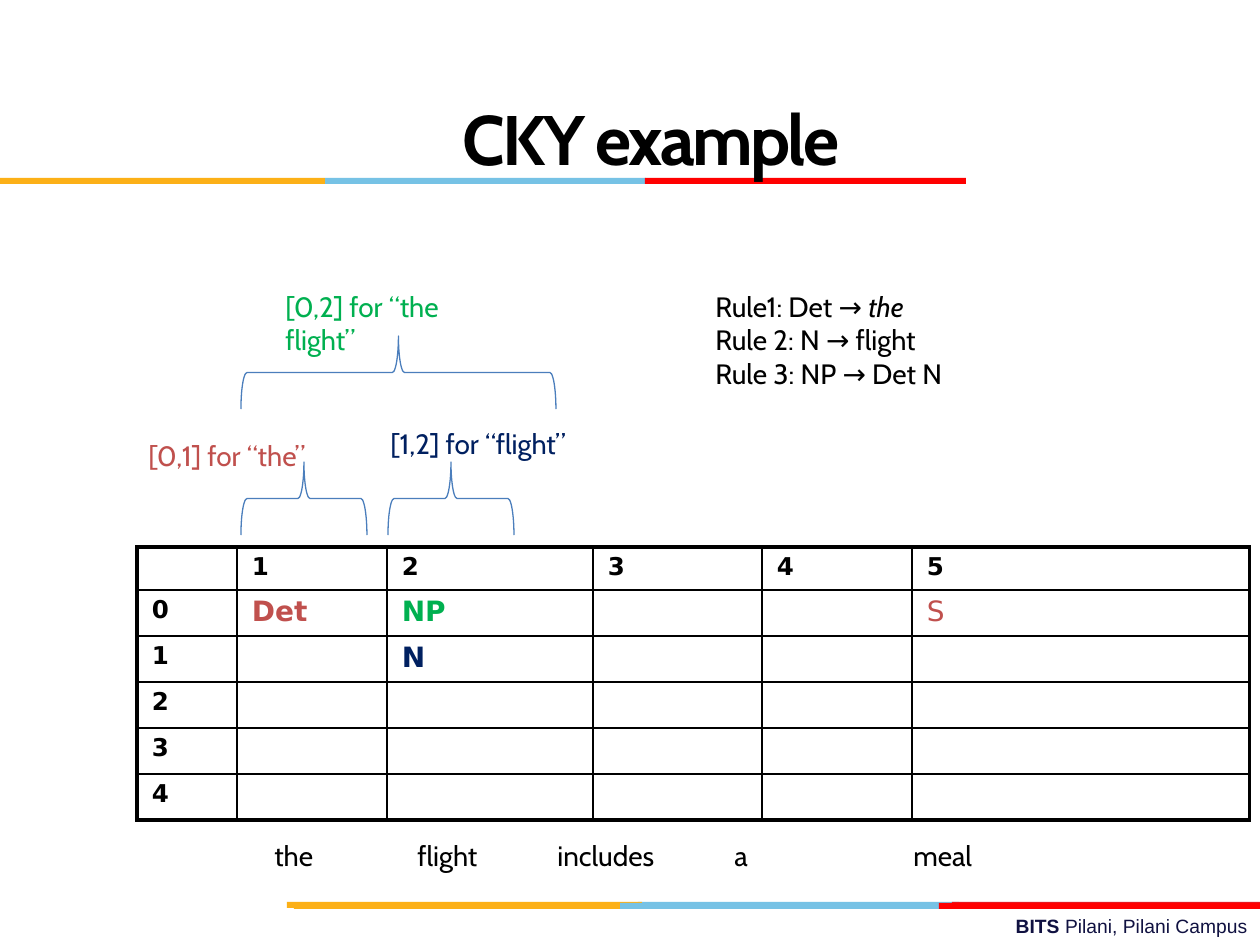
"""Build the CKY parsing example slide."""
from dataclasses import dataclass
from typing import NamedTuple

from lxml.etree import SubElement
from pptx import Presentation
from pptx.dml.color import RGBColor
from pptx.enum.shapes import MSO_SHAPE
from pptx.enum.text import MSO_ANCHOR, MSO_AUTO_SIZE, PP_ALIGN
from pptx.oxml.ns import qn
from pptx.util import Emu, Pt

EMU_PER_PX = 914400 / 126


@dataclass(frozen=True)
class Theme:
    """Colours, fonts and type sizes of the slide."""
    black: str = "000000"
    navy: str = "002060"
    green: str = "00B050"
    brick: str = "C0504D"
    brace: str = "4B7EBC"
    campus: str = "101141"
    amber: str = "FCB017"
    sky: str = "76C2E5"
    crimson: str = "E31C24"
    red: str = "FF0000"
    body_font: str = "Cabin"
    table_font: str = "DejaVu Sans"
    footer_font: str = "Arial"
    title_size: int = 40
    body_size: int = 16
    header_size: int = 14
    footer_size: int = 11


THEME = Theme()


class Box(NamedTuple):
    """A rectangle in px."""
    left: int
    top: int
    width: int
    height: int


class Bar(NamedTuple):
    """One coloured strip."""
    box: Box
    color: str


class Piece(NamedTuple):
    """A run of text with its own format."""
    text: str
    color: str = THEME.black
    size: int = THEME.body_size
    font: str = THEME.body_font
    bold: bool = False
    italic: bool = False


class Label(NamedTuple):
    """A text box with one list of pieces per paragraph."""
    box: Box
    paragraphs: list
    align: PP_ALIGN = PP_ALIGN.LEFT


BARS = [
    Bar(Box(638, 902, 321, 6), THEME.sky),
    Bar(Box(952, 902, 308, 6), THEME.crimson),
    Bar(Box(287, 902, 355, 6), THEME.amber),
    Bar(Box(620, 903, 321, 6), THEME.sky),
    Bar(Box(294, 903, 326, 6), THEME.amber),
    Bar(Box(939, 903, 321, 6), THEME.red),
    Bar(Box(325, 178, 321, 6), THEME.sky),
    Bar(Box(0, 178, 325, 6), THEME.amber),
    Bar(Box(645, 178, 321, 6), THEME.red),
]
BRACES = [Box(241, 462, 126, 73), Box(241, 336, 315, 73), Box(388, 462, 126, 73)]
WORDS = [("the", 262, 77), ("flight", 405, 107), ("includes", 545, 155),
         ("a", 722, 44), ("meal", 901, 103)]
LABELS = [Label(Box(left, 832, width, 50), [[Piece(word)]]) for word, left, width in WORDS] + [
    Label(Box(136, 432, 284, 50), [[Piece("[0,1] for “the”", THEME.brick)]]),
    Label(Box(273, 283, 252, 89), [[Piece("[0,2] for “the flight”", THEME.green)]]),
    Label(Box(378, 420, 284, 50), [[Piece("[1,2] for “flight”", THEME.navy)]]),
    Label(Box(703, 283, 368, 127), [
        [Piece("Rule1: Det → "), Piece("the", italic=True)],
        [Piece("Rule 2: N → flight")],
        [Piece("Rule 3: NP → Det N")],
    ]),
    Label(Box(451, 908, 809, 37), [[
        Piece("BITS ", THEME.campus, THEME.footer_size, THEME.footer_font, True),
        Piece("Pilani, Pilani Campus", THEME.campus, THEME.footer_size, THEME.footer_font),
    ]], PP_ALIGN.RIGHT),
]
TABLE_BOX = Box(137, 547, 1113, 273)
COLUMN_WIDTHS = [100, 150, 206, 169, 150, 338]
ROW_HEIGHTS = [43] + [46] * 5
ENTRIES = {
    (1, 1): Piece("Det", THEME.brick, font=THEME.table_font, bold=True),
    (1, 2): Piece("NP", THEME.green, font=THEME.table_font, bold=True),
    (1, 5): Piece("S", THEME.brick, font=THEME.table_font),
    (2, 2): Piece("N", THEME.navy, font=THEME.table_font, bold=True),
}


def px(length: float) -> Emu:
    """Turn px into EMU."""
    return Emu(round(length * EMU_PER_PX))


def place(box: Box) -> tuple:
    """Give a box in EMU."""
    return tuple(px(length) for length in box)


def apply(target, values: dict) -> None:
    """Set each named attribute on the target."""
    for name, value in values.items():
        setattr(target, name, value)


def write(paragraph, piece: Piece):
    """Add a formatted run to a paragraph."""
    run = paragraph.add_run()
    run.text = piece.text
    apply(run.font, {"name": piece.font, "size": Pt(piece.size),
                     "bold": piece.bold, "italic": piece.italic})
    run.font.color.rgb = RGBColor.from_string(piece.color)
    return run


def draw_bar(slide, bar: Bar) -> None:
    """Draw a coloured strip."""
    shape = slide.shapes.add_shape(MSO_SHAPE.RECTANGLE, *place(bar.box))
    shape.shadow.inherit = False
    shape.fill.solid()
    shape.fill.fore_color.rgb = RGBColor.from_string(bar.color)
    shape.line.fill.background()


def draw_brace(slide, box: Box) -> None:
    """Draw a brace that opens downwards and fills the box."""
    left = box.left + (box.width - box.height) / 2
    top = box.top + (box.height - box.width) / 2
    shape = slide.shapes.add_shape(
        MSO_SHAPE.RIGHT_BRACE, px(left), px(top), px(box.height), px(box.width))
    shape.rotation = 270
    shape.shadow.inherit = False
    shape.fill.background()
    shape.line.color.rgb = RGBColor.from_string(THEME.brace)
    shape.line.width = Pt(0.75)


def draw_label(slide, label: Label) -> None:
    """Draw a text box."""
    frame = slide.shapes.add_textbox(*place(label.box)).text_frame
    frame.word_wrap = True
    for index, pieces in enumerate(label.paragraphs):
        paragraph = frame.add_paragraph() if index else frame.paragraphs[0]
        paragraph.alignment = label.align
        for piece in pieces:
            write(paragraph, piece)


def draw_borders(cell, outer: dict) -> None:
    """Give a cell thick outer and thin inner borders."""
    properties = cell._tc.get_or_add_tcPr()
    for side, is_outer in outer.items():
        width = Pt(2.25 if is_outer else 1)
        line = SubElement(properties, qn(f"a:ln{side}"), w=str(width))
        SubElement(SubElement(line, qn("a:solidFill")), qn("a:srgbClr"), val=THEME.black)


def cell_piece(row: int, column: int) -> Piece | None:
    """Find the text of a cell: a header, an entry or nothing."""
    if row and column:
        return ENTRIES.get((row, column))
    if row == column:
        return None
    number = column or row - 1
    return Piece(str(number), THEME.black, THEME.header_size, THEME.table_font, True)


def draw_chart_table(slide) -> None:
    """Draw the parse chart."""
    rows, columns = len(ROW_HEIGHTS), len(COLUMN_WIDTHS)
    table = slide.shapes.add_table(rows, columns, *place(TABLE_BOX)).table
    apply(table, {"first_row": False, "horz_banding": False})
    for column, width in zip(table.columns, COLUMN_WIDTHS):
        column.width = px(width)
    for row, height in zip(table.rows, ROW_HEIGHTS):
        row.height = px(height)
    margins = {"margin_left": px(15), "margin_right": px(15),
               "margin_top": px(6), "margin_bottom": px(6)}
    for index, cell in enumerate(table.iter_cells()):
        row, column = divmod(index, columns)
        apply(cell, margins)
        draw_borders(cell, {"L": column == 0, "R": column == columns - 1,
                            "T": row == 0, "B": row == rows - 1})
        cell.fill.background()
        paragraph = cell.text_frame.paragraphs[0]
        piece = cell_piece(row, column)
        if piece:
            write(paragraph, piece)
        else:
            SubElement(paragraph._p, qn("a:endParaRPr"), sz=str(THEME.header_size * 100))


def draw_title(slide) -> None:
    """Fill the title placeholder and bring it to the front."""
    title = slide.shapes.title
    apply(title, dict(zip(("left", "top", "width", "height"), place(Box(84, 59, 1134, 158)))))
    frame = title.text_frame
    apply(frame, {"margin_left": 0, "margin_right": 0, "margin_top": 0, "margin_bottom": 0,
                  "vertical_anchor": MSO_ANCHOR.MIDDLE, "auto_size": MSO_AUTO_SIZE.NONE})
    frame.paragraphs[0].alignment = PP_ALIGN.CENTER
    run = write(frame.paragraphs[0], Piece("CKY example", size=THEME.title_size, bold=True))
    run._r.get_or_add_rPr().set("spc", "-150")
    slide.shapes._spTree.append(title._element)


def main() -> None:
    """Build and save the presentation."""
    presentation = Presentation()
    apply(presentation, {"slide_width": px(1260), "slide_height": px(945)})
    slide = presentation.slides.add_slide(presentation.slide_layouts[5])
    for bar in BARS:
        draw_bar(slide, bar)
    draw_chart_table(slide)
    for box in BRACES:
        draw_brace(slide, box)
    for label in LABELS:
        draw_label(slide, label)
    draw_title(slide)
    presentation.save("out.pptx")


if __name__ == "__main__":
    main()
